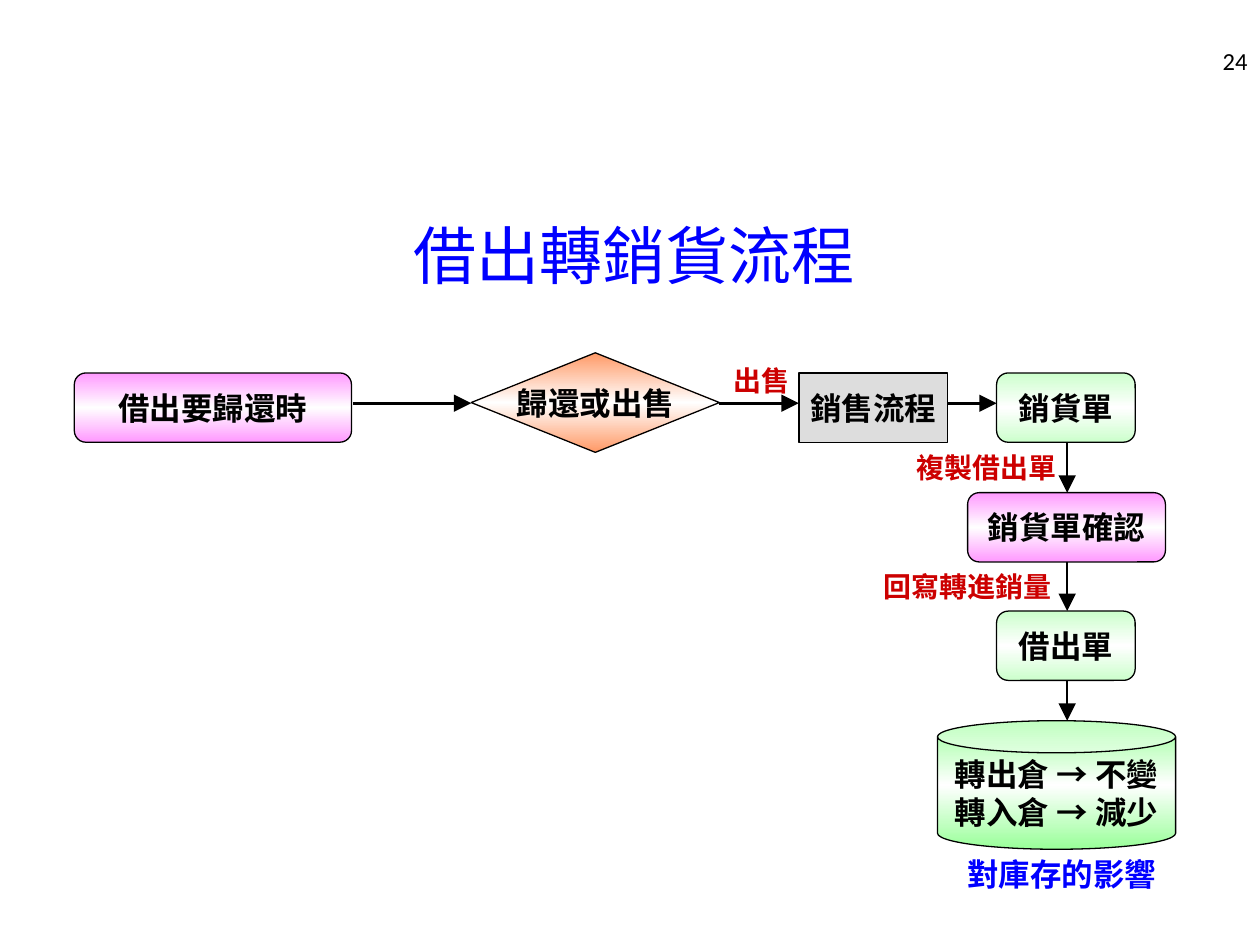
from copy import deepcopy
from dataclasses import dataclass
from typing import Optional

from pptx import Presentation
from pptx import util as u
from pptx.dml.color import RGBColor
from pptx.enum import shapes, text
from pptx.oxml import ns, xmlchemy

BLACK = RGBColor(0x00, 0x00, 0x00)
WHITE = RGBColor(0xFF, 0xFF, 0xFF)
BLUE = RGBColor(0x00, 0x00, 0xFF)
RED = RGBColor(0xCC, 0x00, 0x00)
GRAY = RGBColor(0xDD, 0xDD, 0xDD)
PINK = RGBColor(0xFF, 0x99, 0xFF)
ORANGE = RGBColor(0xFF, 0x99, 0x66)
MINT = RGBColor(0xCC, 0xFF, 0xCC)
GREEN = RGBColor(0x99, 0xFF, 0x99)

SANS = "Arial"
SERIF = "Times New Roman"
CJK = "Noto Sans CJK SC"

ROUND = shapes.MSO_SHAPE.ROUNDED_RECTANGLE
DECISION = shapes.MSO_SHAPE.FLOWCHART_DECISION
RECT = shapes.MSO_SHAPE.RECTANGLE
CAN = shapes.MSO_SHAPE.CAN

ROW_Y = 3.2
COLUMN_X = 8.47
BOX_H = 0.55
LABEL_H = 0.39


@dataclass
class Node:
    kind: shapes.MSO_SHAPE
    left: float
    top: float
    width: float
    height: float
    color: RGBColor
    lines: list
    gradient: bool = True
    adjustment: Optional[float] = None


@dataclass
class Label:
    words: str
    left: float
    top: float
    width: float
    size: int = 16
    color: RGBColor = RED


@dataclass
class Arrow:
    x1: float
    y1: float
    x2: float
    y2: float


def step(words: str, left: float, top: float, width: float, color: RGBColor) -> Node:
    return Node(ROUND, left, top, width, BOX_H, color, [[(words, SANS)]], adjustment=0.167)


NODES = [
    step("借出要歸還時", 0.59, 2.96, 2.2, PINK),
    Node(DECISION, 3.74, 2.8, 1.97, 0.79, ORANGE, [[("歸還或出售", SANS)]]),
    Node(RECT, 6.34, 2.96, 1.18, BOX_H, GRAY, [[("銷售流程", SERIF)]], gradient=False),
    step("銷貨單", 7.91, 2.96, 1.1, MINT),
    step("銷貨單確認", 7.68, 3.91, 1.57, PINK),
    step("借出單", 7.91, 4.85, 1.1, MINT),
    Node(CAN, 7.44, 5.72, 1.89, 1.02, GREEN, [
        [("轉出倉 ", CJK), ("→ ", SERIF), ("不變", CJK)],
        [("轉入倉 ", CJK), ("→ 減少", SERIF)],
    ], adjustment=0.25),
]

LABELS = [
    Label("出售", 5.65, 2.82, 0.79),
    Label("複製借出單", 7.13, 3.51, 1.4),
    Label("回寫轉進銷量", 6.86, 4.46, 1.64),
    Label("對庫存的影響", 7.44, 6.74, 1.97, 18, BLUE),
]

ROW_SPANS = [(2.8, 3.74), (5.71, 6.34), (7.52, 7.91)]
COLUMN_SPANS = [(3.51, 3.91), (4.46, 4.85), (5.4, 5.72)]
ARROWS = [Arrow(a, ROW_Y, b, ROW_Y) for a, b in ROW_SPANS]
ARROWS += [Arrow(COLUMN_X, a, COLUMN_X, b) for a, b in COLUMN_SPANS]


def place(left: float, top: float, width: float, height: float) -> list:
    return [u.Inches(v) for v in (left, top, width, height)]


def write(tf, lines: list, size: int, color: RGBColor, bold: bool = True,
          align=text.PP_ALIGN.CENTER, wrap: bool = False) -> None:
    tf.word_wrap = wrap
    tf.vertical_anchor = text.MSO_ANCHOR.MIDDLE
    for i, runs in enumerate(lines):
        p = tf.add_paragraph() if i else tf.paragraphs[0]
        p.alignment = align
        for words, font in runs:
            r = p.add_run()
            r.text = words
            r.font.name = font
            r.font.size = u.Pt(size)
            r.font.bold = bold
            r.font.color.rgb = color


def fill_gradient(sp, color: RGBColor) -> None:
    sp.fill.gradient()
    sp.fill.gradient_angle = 270
    stops = sp._element.spPr.find(".//" + ns.qn("a:gsLst"))
    stops.insert(1, deepcopy(stops[0]))
    for stop, position, rgb in zip(sp.fill.gradient_stops, (0, 0.5, 1), (color, WHITE, color)):
        stop.position = position
        stop.color.rgb = rgb


def draw_node(s, node: Node) -> None:
    sp = s.shapes.add_shape(node.kind, *place(node.left, node.top, node.width, node.height))
    sp.shadow.inherit = False
    if node.adjustment is not None:
        sp.adjustments[0] = node.adjustment
    if node.gradient:
        fill_gradient(sp, node.color)
    else:
        sp.fill.solid()
        sp.fill.fore_color.rgb = node.color
    sp.line.color.rgb = BLACK
    sp.line.width = u.Pt(0.75)
    write(sp.text_frame, node.lines, 18, BLACK)


def draw_label(s, label: Label) -> None:
    sp = s.shapes.add_textbox(*place(label.left, label.top, label.width, LABEL_H))
    write(sp.text_frame, [[(label.words, SERIF)]], label.size, label.color)


def draw_arrow(s, arrow: Arrow) -> None:
    ends = place(arrow.x1, arrow.y1, arrow.x2, arrow.y2)
    sp = s.shapes.add_connector(shapes.MSO_CONNECTOR.STRAIGHT, *ends)
    sp.line.color.rgb = BLACK
    sp.line.width = u.Pt(1.5)
    tail = xmlchemy.OxmlElement("a:tailEnd")
    for key, value in (("type", "triangle"), ("w", "lg"), ("len", "lg")):
        tail.set(key, value)
    sp._element.spPr.find(ns.qn("a:ln")).append(tail)
    sp._element.spPr.append(xmlchemy.OxmlElement("a:effectLst"))


def main() -> None:
    prs = Presentation()
    prs.slide_width = u.Inches(10)
    prs.slide_height = u.Inches(7.5)
    s = prs.slides.add_slide(prs.slide_layouts[5])

    title = s.shapes.title
    title.left, title.top, title.width, title.height = place(0.35, 1.47, 9.37, 1.1)
    write(title.text_frame, [[("借出轉銷貨流程", SERIF)]], 36, BLUE, bold=False, wrap=True)

    number = s.shapes.add_textbox(*place(7.67, 0.28, 2.33, 0.4))
    write(number.text_frame, [[("24", "Calibri")]], 14, BLACK, bold=False,
          align=text.PP_ALIGN.RIGHT, wrap=True)

    for arrow in ARROWS:
        draw_arrow(s, arrow)
    for node in NODES:
        draw_node(s, node)
    for label in LABELS:
        draw_label(s, label)

    prs.save("out.pptx")


if __name__ == "__main__":
    main()
